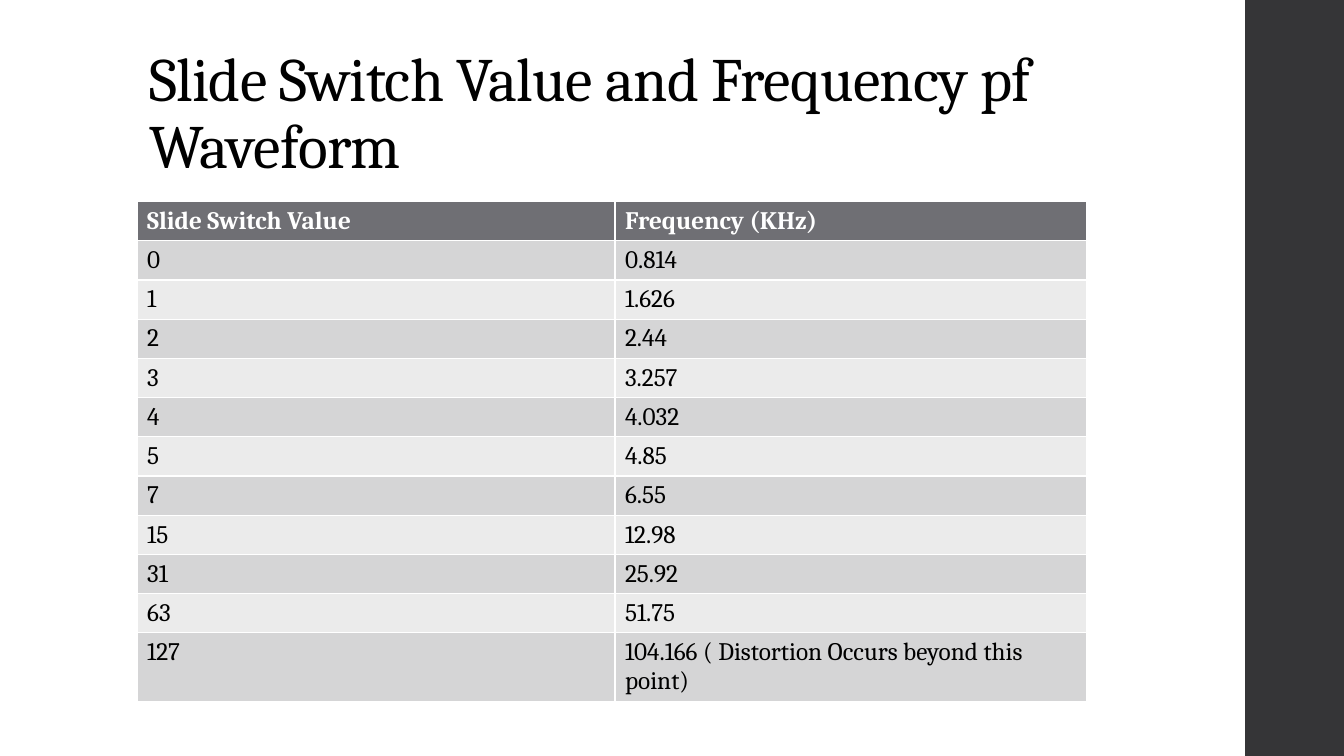
from pptx import Presentation
from pptx import util as u
from pptx.dml.color import RGBColor
from pptx.enum import shapes, text

WIDTH, HEIGHT = u.Inches(13.33), u.Inches(7.5)
FONT = "Cambria"
BLACK = RGBColor(0x00, 0x00, 0x00)
WHITE = RGBColor(0xFF, 0xFF, 0xFF)
SIDEBAR = RGBColor(0x35, 0x35, 0x37)
HEADER = RGBColor(0x6F, 0x6F, 0x74)
BANDS = (RGBColor(0xEB, 0xEB, 0xEB), RGBColor(0xD5, 0xD5, 0xD6))

TITLE_FORMAT = {"name": FONT, "size": u.Pt(44), "bold": False}
HEADER_FORMAT = {"name": FONT, "size": u.Pt(18), "bold": True}
BODY_FORMAT = {**HEADER_FORMAT, "bold": False}

COLUMN_WIDTHS = (4.74, 4.68)
ROW_HEIGHT, LAST_ROW_HEIGHT = 0.28, 0.49
MEASUREMENTS = (
    ("Slide Switch Value", "Frequency (KHz)"),
    ("0", "0.814"),
    ("1", "1.626"),
    ("2", "2.44"),
    ("3", "3.257"),
    ("4", "4.032"),
    ("5", "4.85"),
    ("7", "6.55"),
    ("15", "12.98"),
    ("31", "25.92"),
    ("63", "51.75"),
    ("127", "104.166 ( Distortion Occurs beyond this point)"),
)


def format_font(font, values, color):
    for name, value in values.items():
        setattr(font, name, value)
    font.color.rgb = color


def add_sidebar(slide):
    left = u.Inches(12.35)
    sidebar = slide.shapes.add_shape(
        shapes.MSO_SHAPE.RECTANGLE, left, 0, WIDTH - left, HEIGHT)
    sidebar.shadow.inherit = False
    sidebar.fill.solid()
    sidebar.fill.fore_color.rgb = SIDEBAR
    sidebar.line.fill.background()


def fill_title(slide, wording):
    title = slide.shapes.title
    box = {"left": 1.38, "top": 0.4, "width": 10.6, "height": 1.45}
    for name, value in box.items():
        setattr(title, name, u.Inches(value))
    frame = title.text_frame
    frame.auto_size = text.MSO_AUTO_SIZE.NONE
    frame.vertical_anchor = text.MSO_ANCHOR.BOTTOM
    paragraph = frame.paragraphs[0]
    paragraph.alignment = text.PP_ALIGN.LEFT
    paragraph.line_spacing = 0.9
    run = paragraph.add_run()
    run.text = wording
    format_font(run.font, TITLE_FORMAT, BLACK)
    run.font._element.set("spc", "-50")


def fill_cell(cell, wording, row):
    is_header = row == 0
    cell.fill.solid()
    cell.fill.fore_color.rgb = HEADER if is_header else BANDS[row % 2]
    run = cell.text_frame.paragraphs[0].add_run()
    run.text = wording
    format_font(run.font, HEADER_FORMAT if is_header else BODY_FORMAT,
                WHITE if is_header else BLACK)


def add_measurements(slide):
    heights = [ROW_HEIGHT] * (len(MEASUREMENTS) - 1) + [LAST_ROW_HEIGHT]
    table = slide.shapes.add_table(
        len(heights), len(COLUMN_WIDTHS), u.Inches(1.36), u.Inches(2),
        u.Inches(sum(COLUMN_WIDTHS)), u.Inches(sum(heights))).table
    for column, width in zip(table.columns, COLUMN_WIDTHS):
        column.width = u.Inches(width)
    for row, (height, values) in enumerate(zip(heights, MEASUREMENTS)):
        table.rows[row].height = u.Inches(height)
        for column, value in enumerate(values):
            fill_cell(table.cell(row, column), value, row)


def main():
    presentation = Presentation()
    presentation.slide_width, presentation.slide_height = WIDTH, HEIGHT
    slide = presentation.slides.add_slide(presentation.slide_layouts[5])
    add_sidebar(slide)
    fill_title(slide, "Slide Switch Value and Frequency pf Waveform")
    add_measurements(slide)
    presentation.save("out.pptx")


if __name__ == "__main__":
    main()
